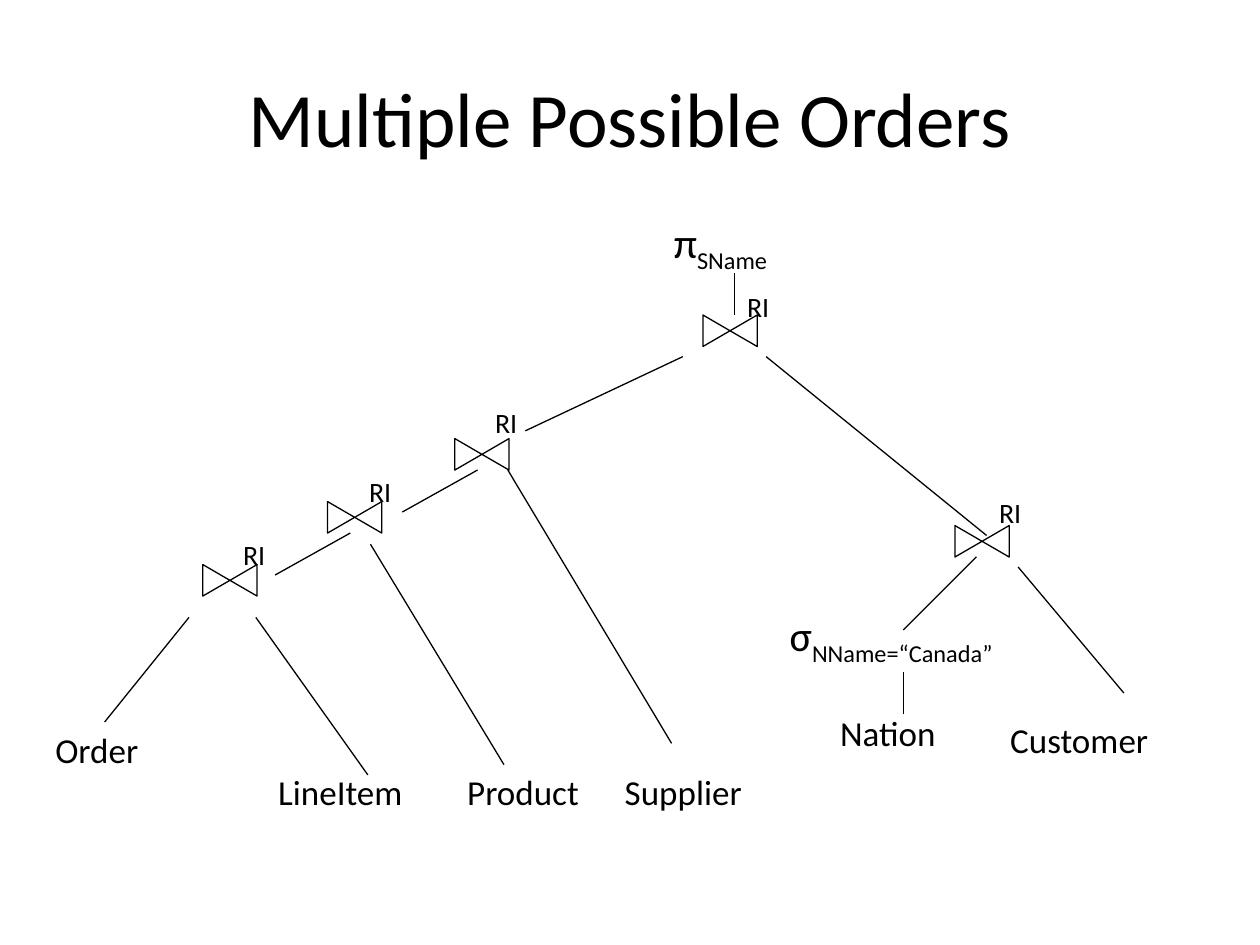
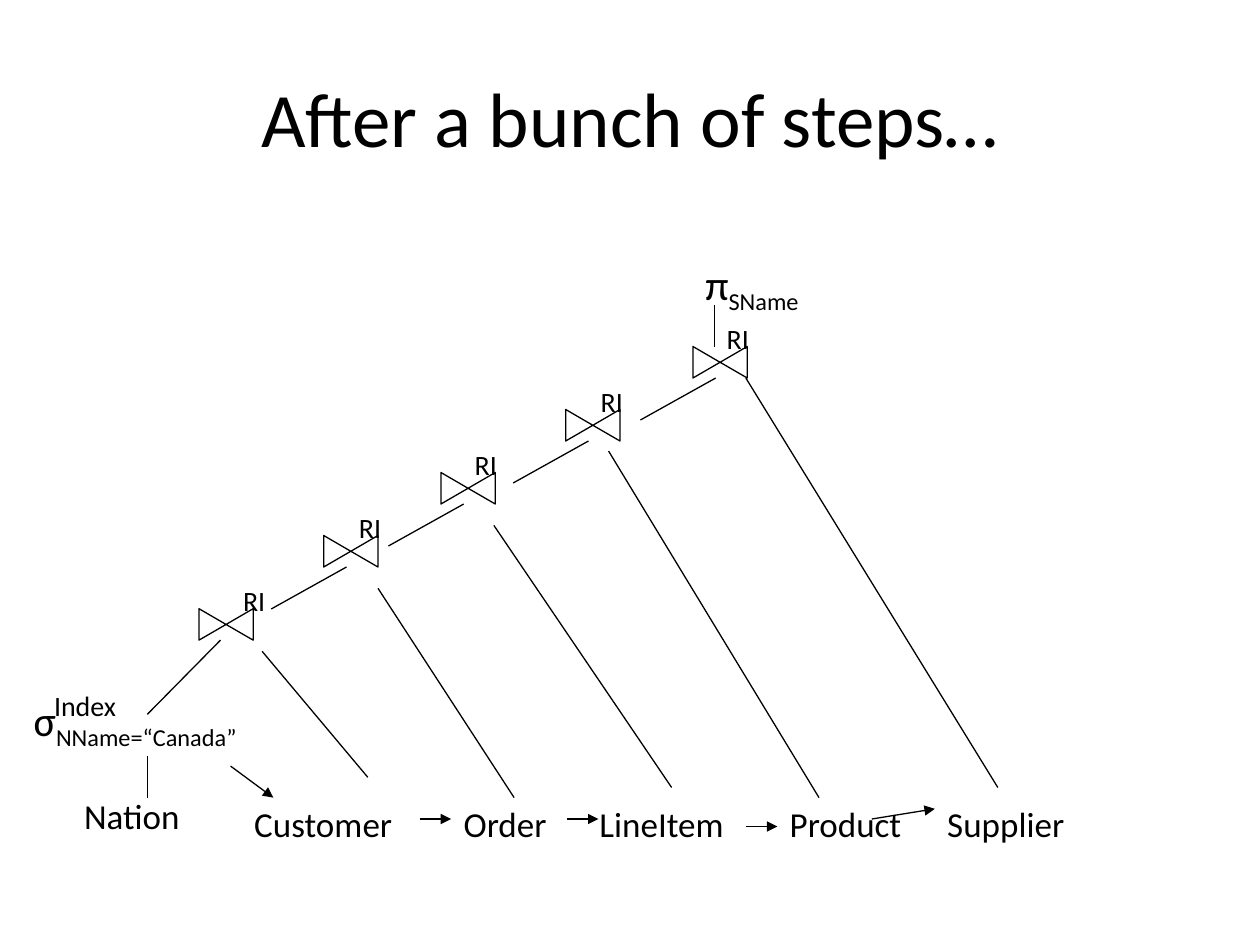
from lxml import etree
from pptx import Presentation
from pptx.dml.color import RGBColor
from pptx.enum.shapes import MSO_CONNECTOR, MSO_SHAPE
from pptx.enum.text import MSO_ANCHOR, MSO_AUTO_SIZE, PP_ALIGN
from pptx.oxml.ns import qn
from pptx.util import Pt

BLACK = RGBColor(0, 0, 0)
WHITE = RGBColor(255, 255, 255)
FONT = "Calibri"
BOWTIE = MSO_SHAPE.FLOWCHART_COLLATE
STRAIGHT = MSO_CONNECTOR.STRAIGHT
MIDDLE = MSO_ANCHOR.MIDDLE
CENTER = PP_ALIGN.CENTER
GROW = MSO_AUTO_SIZE.SHAPE_TO_FIT_TEXT

WIDTHS = {
    "Nation": 72.7, "Customer": 100.8, "Order": 65.5,
    "LineItem": 91.4, "Product": 83.5, "Supplier": 87.8,
}

SLIDES = [
    {
        "title": "Multiple Possible Orders",
        "tables": [
            ("Nation", 473, 403.2), ("Customer", 570.2, 406.8),
            ("Order", 24.5, 412.6), ("LineItem", 151.9, 437),
            ("Product", 259.9, 437), ("Supplier", 349.9, 437),
        ],
        "joins": [
            (122.4, 316.1, 131.8, 303.8, False),
            (193.7, 280.1, 203.8, 267.8, True),
            (266.4, 244.1, 275.8, 228.2, True),
            (552.2, 293.8, 563.8, 279.4, False),
            (408.2, 173.5, 419.8, 162, False),
        ],
        "lines": [
            (516.2, 383.8, 516.2, 408.2),
            (558, 318.2, 516.2, 360),
            (390.2, 203.8, 300.2, 246.2),
            (108, 352.8, 59.8, 412.6),
            (581.8, 324, 642.2, 396),
            (437.8, 203.8, 563.8, 306),
            (146.2, 352.8, 210.2, 442.8),
            (211.7, 311, 288, 437),
            (290.2, 268.6, 383.8, 424.8),
            (419.8, 156.2, 419.8, 180),
        ],
        "arrows": [],
        "filter": (444.2, 344.9),
        "project": (378, 120.2),
        "index": [],
    },
    {
        "title": "After a bunch of steps…",
        "tables": [
            ("Nation", 41, 450.7), ("Customer", 138.2, 455),
            ("Order", 257.8, 455), ("LineItem", 335.5, 455),
            ("Product", 444.2, 455), ("Supplier", 534.2, 455),
        ],
        "joins": [
            (120.2, 341.3, 131.8, 329.8, False),
            (191.5, 299.5, 198, 288, True),
            (258.5, 263.5, 264.2, 252, True),
            (329.8, 227.5, 336.2, 216, True),
            (402.5, 191.5, 408.2, 180, True),
        ],
        "lines": [
            (84.2, 432, 84.2, 455.8),
            (126, 365.8, 84.2, 408.2),
            (149.8, 372.2, 210.2, 444.2),
            (216, 336.2, 293.8, 455.8),
            (282.2, 300.2, 383.8, 450),
            (347.8, 257.8, 468, 455.8),
            (426.2, 216, 570.2, 450),
            (408.2, 174.2, 408.2, 198),
        ],
        "arrows": [
            (131.8, 437.8, 156.2, 455.8),
            (239.8, 468, 257.8, 468),
            (324, 468, 342, 468),
            (426.2, 472.3, 444.2, 472.3),
            (498.2, 468, 534.2, 462.2),
        ],
        "filter": (12.2, 393.1),
        "project": (396, 144),
        "index": [(23.8, 390.2)],
    },
]


def label(slide, text, left, top, width, height, size, sub=""):
    box = slide.shapes.add_textbox(Pt(left), Pt(top), Pt(width), Pt(height))
    frame = box.text_frame
    frame.text = text
    frame.word_wrap = False
    frame.auto_size = GROW
    para = frame.paragraphs[0]
    if sub:
        low = para.add_run()
        low.text = sub
        low._r.get_or_add_rPr().set("baseline", "-25000")
    for run in para.runs:
        run.font.name = FONT
        run.font.size = Pt(size)
        run.font.color.rgb = BLACK
    return frame


def link(slide, ends, arrow=False):
    line = slide.shapes.add_connector(STRAIGHT, *[Pt(end) for end in ends])
    line.line.color.rgb = BLACK
    line.line.width = Pt(0.75)
    if arrow:
        tail = etree.SubElement(line.line._get_or_add_ln(), qn("a:tailEnd"))
        tail.set("type", "triangle")
    etree.SubElement(line._element.spPr, qn("a:effectLst"))


deck = Presentation()
deck.slide_width = Pt(720)
deck.slide_height = Pt(540)

for plan in SLIDES:
    slide = deck.slides.add_slide(deck.slide_layouts[6])

    title = label(slide, plan["title"], 36, 21.6, 648, 90, 44)
    title.auto_size = MSO_AUTO_SIZE.NONE
    title.word_wrap = True
    title.vertical_anchor = MIDDLE
    title.paragraphs[0].alignment = CENTER

    for left, top, _, _, chain in plan["joins"]:
        join = slide.shapes.add_shape(BOWTIE, Pt(left), Pt(top), Pt(18), Pt(31))
        join.rotation = 270
        join.shadow.inherit = False
        join.fill.solid()
        join.fill.fore_color.rgb = WHITE
        join.line.color.rgb = BLACK
        join.line.width = Pt(0.75)
        if chain:
            link(slide, (left + 6.5, top + 24.5, left - 36.5, top + 48.5))

    for ends in plan["lines"]:
        link(slide, ends)
    for ends in plan["arrows"]:
        link(slide, ends, True)

    for name, left, top in plan["tables"]:
        label(slide, name, left, top, WIDTHS[name], 31, 20)
    for _, _, left, top, _ in plan["joins"]:
        label(slide, "RI", left, top, 30.2, 26.6, 16)
    label(slide, "σ", *plan["filter"], 159.8, 36, 24, "NName=“Canada”")
    label(slide, "π", *plan["project"], 84.2, 36, 24, "SName")
    for left, top in plan["index"]:
        label(slide, "Index", left, top, 53.3, 26.6, 16)

deck.save("out.pptx")
